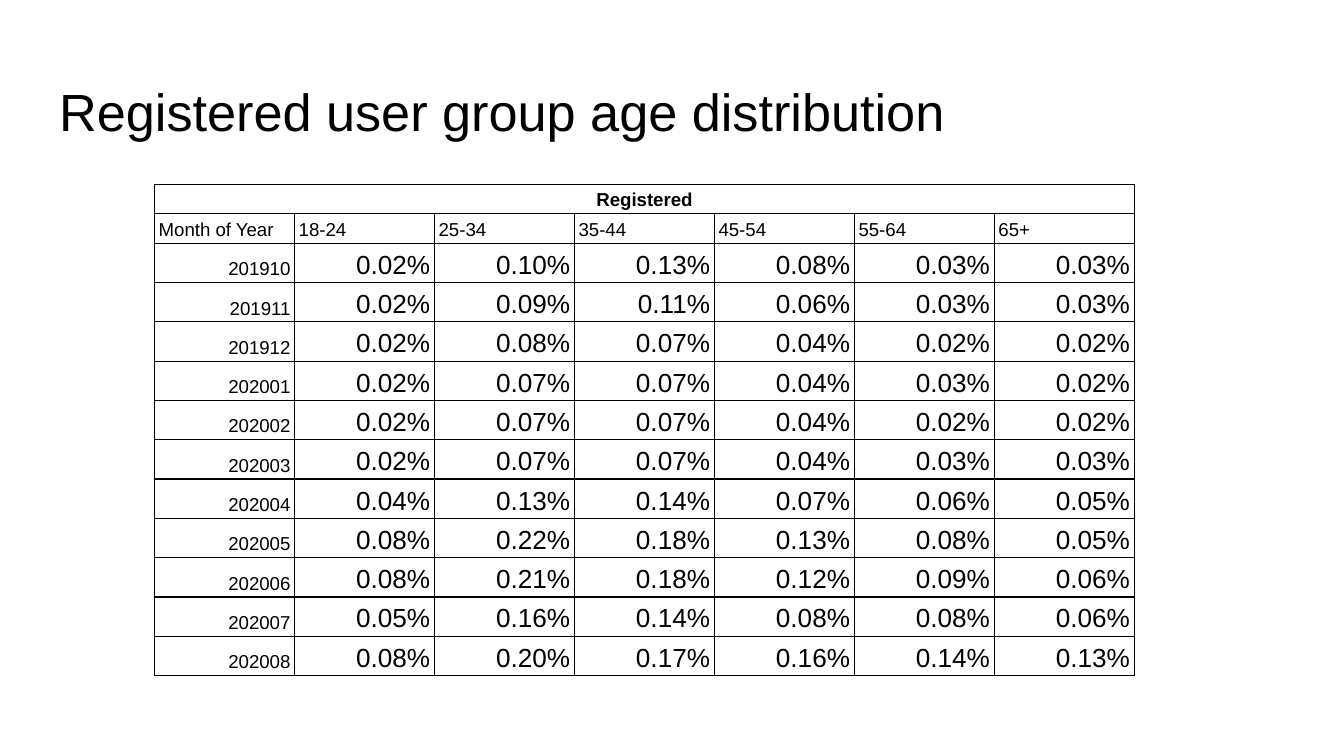
from lxml import etree
from pptx import Presentation
from pptx.dml.color import RGBColor
from pptx.enum.text import MSO_ANCHOR, MSO_AUTO_SIZE, PP_ALIGN
from pptx.oxml.ns import qn
from pptx.util import Inches, Pt

LEFT, CENTER, RIGHT = PP_ALIGN.LEFT, PP_ALIGN.CENTER, PP_ALIGN.RIGHT
TOP, BOTTOM = MSO_ANCHOR.TOP, MSO_ANCHOR.BOTTOM
NO_AUTOFIT = MSO_AUTO_SIZE.NONE
BLACK = RGBColor(0x00, 0x00, 0x00)
FONT = "Arial"

AGE_GROUPS = ["18-24", "25-34", "35-44", "45-54", "55-64", "65+"]
SHARES = {
    "201910": [0.02, 0.10, 0.13, 0.08, 0.03, 0.03],
    "201911": [0.02, 0.09, 0.11, 0.06, 0.03, 0.03],
    "201912": [0.02, 0.08, 0.07, 0.04, 0.02, 0.02],
    "202001": [0.02, 0.07, 0.07, 0.04, 0.03, 0.02],
    "202002": [0.02, 0.07, 0.07, 0.04, 0.02, 0.02],
    "202003": [0.02, 0.07, 0.07, 0.04, 0.03, 0.03],
    "202004": [0.04, 0.13, 0.14, 0.07, 0.06, 0.05],
    "202005": [0.08, 0.22, 0.18, 0.13, 0.08, 0.05],
    "202006": [0.08, 0.21, 0.18, 0.12, 0.09, 0.06],
    "202007": [0.05, 0.16, 0.14, 0.08, 0.08, 0.06],
    "202008": [0.08, 0.20, 0.17, 0.16, 0.14, 0.13],
}
TABLE_WIDTH = Inches(7.29)
HEADER_HEIGHT, DATA_HEIGHT = Inches(0.22), Inches(0.24)
SIDE_MARGIN, EDGE_MARGIN = Inches(1) // 32, Inches(1) // 48
CELL_FORMAT = {
    "vertical_anchor": BOTTOM,
    "margin_left": SIDE_MARGIN,
    "margin_right": SIDE_MARGIN,
    "margin_top": EDGE_MARGIN,
    "margin_bottom": EDGE_MARGIN,
}


def format_text(paragraph, size, alignment, bold=False):
    paragraph.alignment = alignment
    font = paragraph.runs[0].font
    font.name, font.size, font.bold = FONT, Pt(size), bold
    font.color.rgb = BLACK


def add_borders(cell):
    properties = cell._tc.get_or_add_tcPr()
    for position, side in enumerate(("a:lnL", "a:lnR", "a:lnT", "a:lnB")):
        line = etree.Element(qn(side), w=str(Pt(0.75)))
        fill = etree.SubElement(line, qn("a:solidFill"))
        etree.SubElement(fill, qn("a:srgbClr"), val=str(BLACK))
        properties.insert(position, line)


# Widescreen slide, 16:9
presentation = Presentation()
presentation.slide_width = Inches(10)
presentation.slide_height = Inches(10) * 9 // 16
slide = presentation.slides.add_slide(presentation.slide_layouts[5])

# Title
title = slide.shapes.title
title.left, title.top = Inches(0.34), Inches(0.49)
title.width, title.height = Inches(9.32), Inches(0.63)
title_frame = title.text_frame
title_frame.text = "Registered user group age distribution"
title_format = {"auto_size": NO_AUTOFIT, "word_wrap": True, "vertical_anchor": TOP}
for side in ("left", "right", "top", "bottom"):
    title_format[f"margin_{side}"] = Inches(0.1)
for name, value in title_format.items():
    setattr(title_frame, name, value)
format_text(title_frame.paragraphs[0], 28, LEFT)

# Table contents: group heading, column headings, one row per month
rows = [["Registered"] + [""] * len(AGE_GROUPS), ["Month of Year"] + AGE_GROUPS]
for month, shares in SHARES.items():
    rows.append([month] + [f"{share:.2f}%" for share in shares])
column_count = len(rows[0])

# Table grid
table = slide.shapes.add_table(
    len(rows), column_count, Inches(1.15), Inches(1.37),
    TABLE_WIDTH, 2 * HEADER_HEIGHT + len(SHARES) * DATA_HEIGHT,
).table
table.first_row = table.horz_banding = False
for column in table.columns:
    column.width = TABLE_WIDTH // column_count
for row_index, row in enumerate(table.rows):
    row.height = HEADER_HEIGHT if row_index < 2 else DATA_HEIGHT
table.cell(0, 0).merge(table.cell(0, column_count - 1))

# Table cells
for row_index, texts in enumerate(rows):
    for column_index, text in enumerate(texts):
        cell = table.cell(row_index, column_index)
        for name, value in CELL_FORMAT.items():
            setattr(cell, name, value)
        cell.fill.background()
        add_borders(cell)
        if cell.is_spanned:
            continue
        cell.text = text
        paragraph = cell.text_frame.paragraphs[0]
        paragraph.line_spacing = 1.15
        alignment = (CENTER, LEFT)[row_index] if row_index < 2 else RIGHT
        size = 14 if row_index >= 2 and column_index > 0 else 10
        format_text(paragraph, size, alignment, bold=row_index == 0)

presentation.save("out.pptx")
